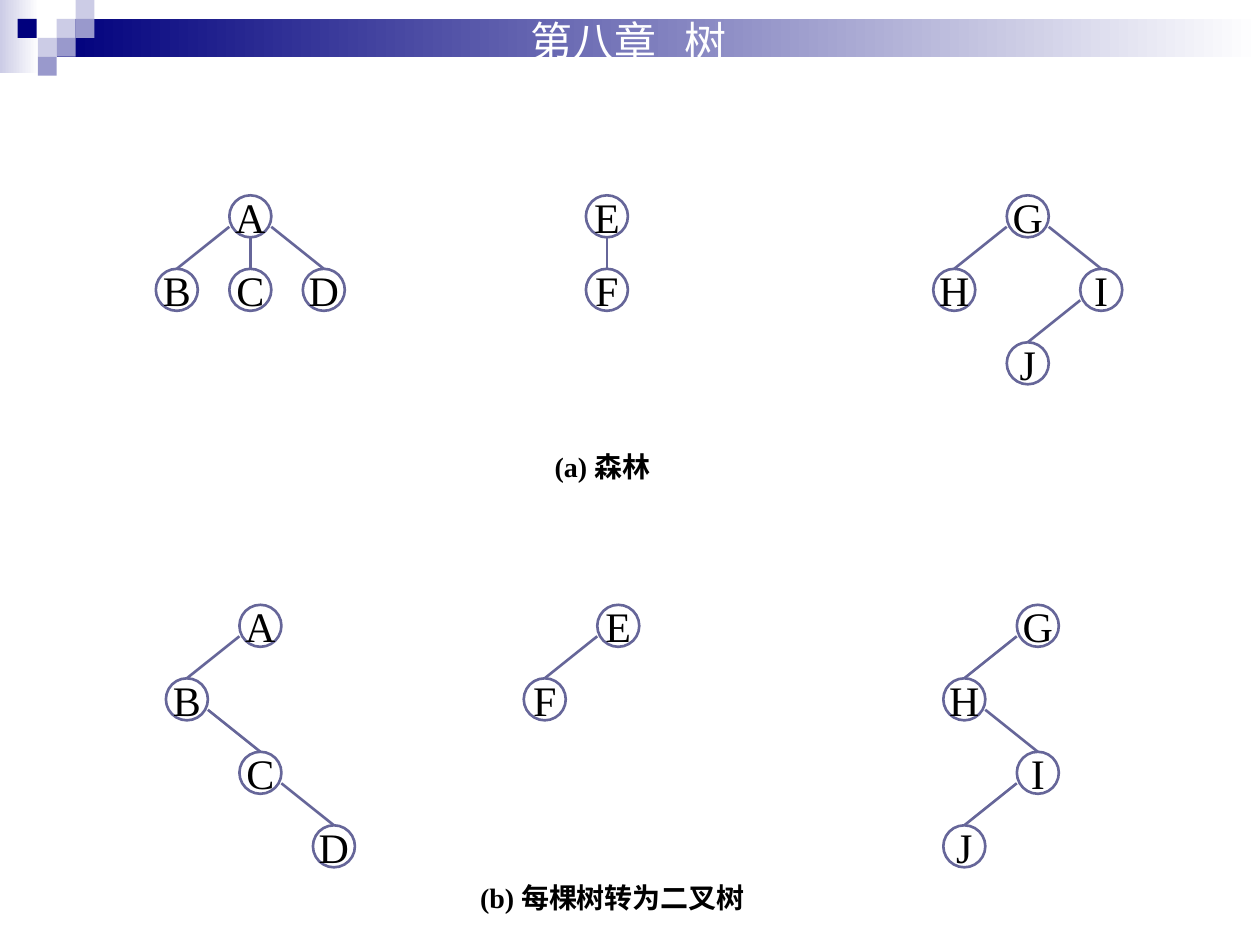
from lxml import etree
from pptx import Presentation
from pptx.dml.color import RGBColor
from pptx.enum.shapes import MSO_CONNECTOR as CONN, MSO_SHAPE as SHAPE
from pptx.enum.text import MSO_ANCHOR as ANCHOR, MSO_AUTO_SIZE as FIT, PP_ALIGN as ALIGN
from pptx.oxml.ns import qn
from pptx.util import Inches, Pt

COLORS = {
    "navy": "00007D",
    "mid": "9999CC",
    "pale": "CCCCE6",
    "white": "FFFFFF",
    "black": "000000",
    "outline": "666699",
}
LATIN, CJK = "Times New Roman", "Noto Sans CJK SC"
NODE = 1 / 3
STEP = 7 / 12
TILE = 0.15

TILES = [
    (0.45, 0.15, "pale"), (0.6, 0, "pale"), (0.6, 0.15, "mid"),
    (0.3, 0.3, "pale"), (0.14, 0.15, "navy"), (0.45, 0.3, "mid"),
    (0.3, 0.45, "mid"),
]

FOREST_TOP, BINARY_TOP = 1.55, 4.8
TREES = [
    (1.82, FOREST_TOP, {"A": (0, 0), "B": (-1, 1), "C": (0, 1), "D": (1, 1)}, "AB AD AC"),
    (4.65, FOREST_TOP, {"E": (0, 0), "F": (0, 1)}, "EF"),
    (7.99, FOREST_TOP, {"G": (0, 0), "H": (-1, 1), "I": (1, 1), "J": (0, 2)}, "GH GI IJ"),
    (1.9, BINARY_TOP, {"A": (0, 0), "B": (-1, 1), "C": (0, 2), "D": (1, 3)}, "AB BC CD"),
    (4.74, BINARY_TOP, {"E": (0, 0), "F": (-1, 1)}, "EF"),
    (8.07, BINARY_TOP, {"G": (0, 0), "H": (-1, 1), "I": (0, 2), "J": (-1, 3)}, "GH HI IJ"),
]


def rgb(name):
    return RGBColor.from_string(COLORS[name])


def write(tf, text, size=24, font=LATIN, color="black", bold=False,
          align=ALIGN.CENTER, anchor=ANCHOR.TOP, wrap=True, before=0):
    tf.auto_size = FIT.NONE
    tf.word_wrap = wrap
    tf.vertical_anchor = anchor
    tf.margin_left = tf.margin_right = Inches(0.1)
    tf.margin_top = tf.margin_bottom = Inches(0.05)
    p = tf.paragraphs[0]
    p.alignment = align
    p.space_before = Pt(before)
    r = p.add_run()
    r.text = text
    r.font.size = Pt(size)
    r.font.bold = bold
    r.font.color.rgb = rgb(color)
    r.font.name = font
    etree.SubElement(r.font._element, qn("a:ea"), typeface=CJK)
    return p


class TreeSlide:
    def __init__(self, slide, line="outline", weight=1.5):
        self.slide = slide
        self.line_color = line
        self.weight = weight

    def stroke(self, line):
        line.color.rgb = rgb(self.line_color)
        line.width = Pt(self.weight)

    def shape(self, kind, x, y, w, h):
        sp = self.slide.shapes.add_shape(kind, Inches(x), Inches(y), Inches(w), Inches(h))
        sp.shadow.inherit = False
        return sp

    def tile(self, x, y, color):
        sp = self.shape(SHAPE.RECTANGLE, x, y, TILE, TILE)
        sp.fill.solid()
        sp.fill.fore_color.rgb = rgb(color)
        sp.line.fill.background()

    def fade(self, x, y, w, h, color):
        sp = self.shape(SHAPE.RECTANGLE, x, y, w, h)
        sp.fill.gradient()
        sp.fill.gradient_angle = 0
        for stop, name in zip(sp.fill.gradient_stops, (color, "white")):
            stop.color.rgb = rgb(name)
        sp.line.fill.background()

    def title(self, text, x, y, w, h, tab):
        sp = self.slide.shapes.title
        sp.left, sp.top, sp.width, sp.height = map(Inches, (x, y, w, h))
        p = write(sp.text_frame, text, font=CJK, color="white", align=ALIGN.LEFT)
        tabs = etree.SubElement(p._p.get_or_add_pPr(), qn("a:tabLst"))
        etree.SubElement(tabs, qn("a:tab"), pos=str(Inches(tab)), algn="l")
        sp.element.getparent().append(sp.element)

    def node(self, x, y, label):
        sp = self.shape(SHAPE.OVAL, x, y, NODE, NODE)
        sp.fill.solid()
        sp.fill.fore_color.rgb = rgb("white")
        self.stroke(sp.line)
        write(sp.text_frame, label, anchor=ANCHOR.MIDDLE, wrap=False)

    def edge(self, parent, child):
        (px, py), (cx, cy) = parent, child
        side = (cx > px) - (cx < px)
        x1 = px + NODE / 2 * (1 + side)
        y1 = py + NODE * (0.75 if side else 1)
        ends = map(Inches, (x1, y1, cx + NODE / 2, cy))
        cn = self.slide.shapes.add_connector(CONN.STRAIGHT, *ends)
        self.stroke(cn.line)
        etree.SubElement(cn.element.spPr, qn("a:effectLst"))

    def tree(self, left, top, cells, edges):
        spots = {k: (left + col * STEP, top + row * STEP) for k, (col, row) in cells.items()}
        for label, (x, y) in spots.items():
            self.node(x, y, label)
        for parent, child in edges.split():
            self.edge(spots[parent], spots[child])

    def caption(self, text, x, y):
        tb = self.slide.shapes.add_textbox(Inches(x), Inches(y), Inches(2.42), Inches(0.37))
        write(tb.text_frame, text, size=16, bold=True, before=10)


def main():
    prs = Presentation()
    prs.slide_width, prs.slide_height = Inches(10), Inches(7.5)
    s = TreeSlide(prs.slides.add_slide(prs.slide_layouts[5]))

    s.fade(0, 0, 0.31, 0.58, "pale")
    s.fade(0.45, 0.15, 9.55, 0.3, "navy")
    for tile in TILES:
        s.tile(*tile)
    s.title("第八章\t树", 4.11, 0.07, 2.42, 0.5, tab=1.22)

    for tree in TREES:
        s.tree(*tree)
    s.caption("(a) 森林", 3.57, 3.52)
    s.caption("(b) 每棵树转为二叉树", 3.65, 6.94)
    prs.save("out.pptx")


if __name__ == "__main__":
    main()
